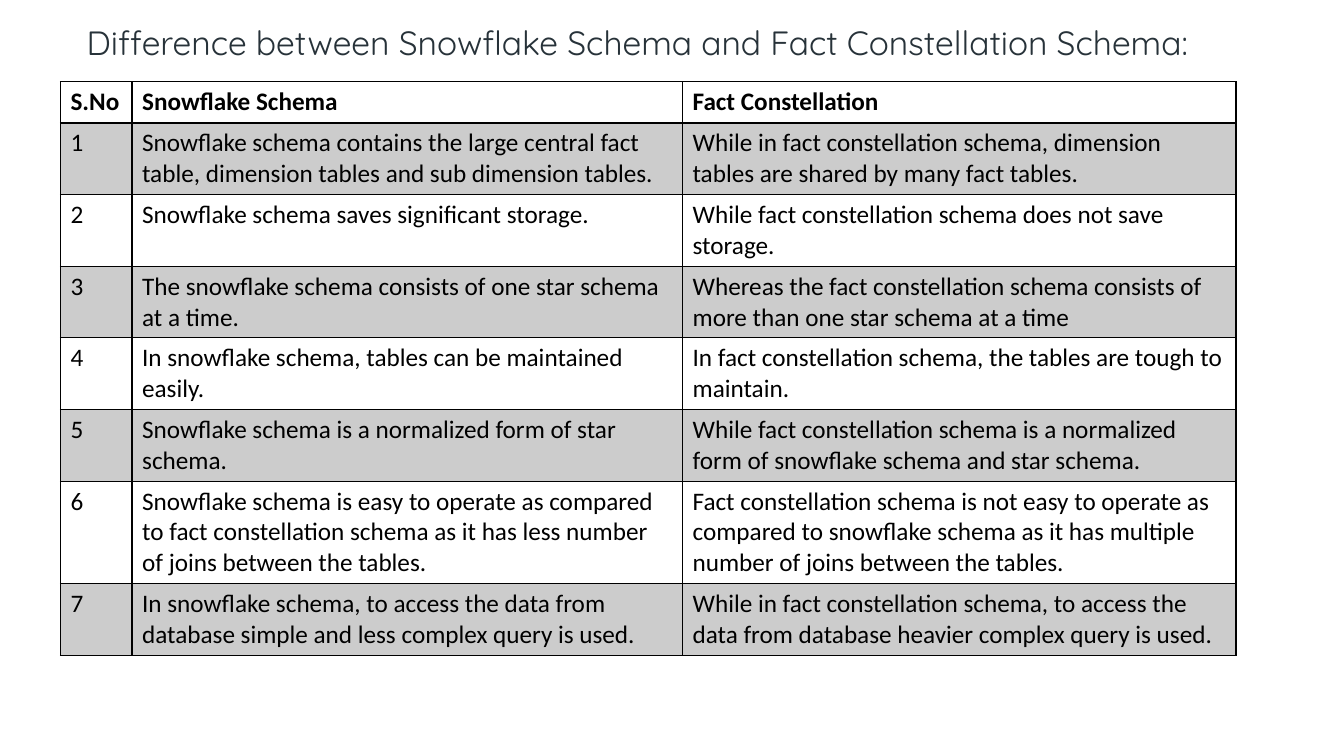
from pptx import Presentation
from pptx.dml.color import RGBColor
from pptx.enum.text import MSO_ANCHOR, PP_ALIGN
from pptx.oxml.ns import qn
from pptx.util import Inches, Pt
from lxml.etree import SubElement

TITLE = "Difference between Snowflake Schema and Fact Constellation Schema:"
HEADINGS = ("S.No", "Snowflake Schema", "Fact Constellation")
COMPARISONS = [
    ("Snowflake schema contains the large central fact table, dimension tables and sub dimension tables.",
     "While in fact constellation schema, dimension tables are shared by many fact tables."),
    ("Snowflake schema saves significant storage.",
     "While fact constellation schema does not save storage."),
    ("The snowflake schema consists of one star schema at a time.",
     "Whereas the fact constellation schema consists of more than one star schema at a time"),
    ("In snowflake schema, tables can be maintained easily.",
     "In fact constellation schema, the tables are tough to maintain."),
    ("Snowflake schema is a normalized form of star schema.",
     "While fact constellation schema is a normalized form of snowflake schema and star schema."),
    ("Snowflake schema is easy to operate as compared to fact constellation schema "
     "as it has less number of joins between the tables.",
     "Fact constellation schema is not easy to operate as compared to snowflake schema "
     "as it has multiple number of joins between the tables."),
    ("In snowflake schema, to access the data from database simple and less complex query is used.",
     "While in fact constellation schema, to access the data from database heavier complex query is used."),
]
COLUMN_WIDTHS = (0.71, 5.46, 5.49)
ROW_HEIGHT = 0.41
BLACK = "000000"


def color(value):
    return RGBColor.from_string(value)


def add_span(para, text, font, size, ink, bold=False):
    span = para.add_run()
    span.text = text
    span.font.name = font
    span.font.size = Pt(size)
    span.font.bold = bold
    span.font.color.rgb = color(ink)


def add_border(cell, side, width):
    properties = cell._tc.get_or_add_tcPr()
    line = SubElement(properties, qn(f"a:ln{side}"), w=str(Pt(width)))
    fill = SubElement(line, qn("a:solidFill"))
    SubElement(fill, qn("a:srgbClr"), val=BLACK)


def shade(cell, value, opacity):
    cell.fill.solid()
    cell.fill.fore_color.rgb = color(value)
    swatch = cell._tc.tcPr.find(f"{qn('a:solidFill')}/{qn('a:srgbClr')}")
    SubElement(swatch, qn("a:alpha"), val=str(opacity * 1000))


def place_title(page, left, top, width, height):
    title = page.shapes.title
    title.left, title.top = Inches(left), Inches(top)
    title.width, title.height = Inches(width), Inches(height)
    frame = title.text_frame
    frame.word_wrap = True
    frame.vertical_anchor = MSO_ANCHOR.MIDDLE
    para = frame.paragraphs[0]
    para.alignment = PP_ALIGN.LEFT
    para.line_spacing = 0.9
    add_span(para, TITLE, "Quicksand", 24, "273239")


def fill_cell(cell, text, row):
    header = row == 0
    add_span(cell.text_frame.paragraphs[0], text, "Calibri", 18, BLACK, header)
    for side in "LRTB":
        thick = (header and side == "B") or (row == 1 and side == "T")
        add_border(cell, side, 2 if thick else 1)
    if row % 2:
        shade(cell, BLACK, 20)
    else:
        cell.fill.background()


def place_table(page, left, top):
    rows = [HEADINGS]
    rows += [(str(number), *pair) for number, pair in enumerate(COMPARISONS, 1)]
    table = page.shapes.add_table(
        len(rows), len(HEADINGS), Inches(left), Inches(top),
        Inches(sum(COLUMN_WIDTHS)), Inches(ROW_HEIGHT * len(rows))).table
    for column, width in zip(table.columns, COLUMN_WIDTHS):
        column.width = Inches(width)
    for row, texts in enumerate(rows):
        table.rows[row].height = Inches(ROW_HEIGHT)
        for column, text in enumerate(texts):
            fill_cell(table.cell(row, column), text, row)


def main():
    deck = Presentation()
    deck.slide_width, deck.slide_height = Inches(13.33), Inches(7.5)
    page = deck.slides.add_slide(deck.slide_layouts[5])
    place_title(page, 0.76, 0.08, 11.5, 0.73)
    place_table(page, 0.6, 0.81)
    deck.save("out.pptx")


if __name__ == "__main__":
    main()
